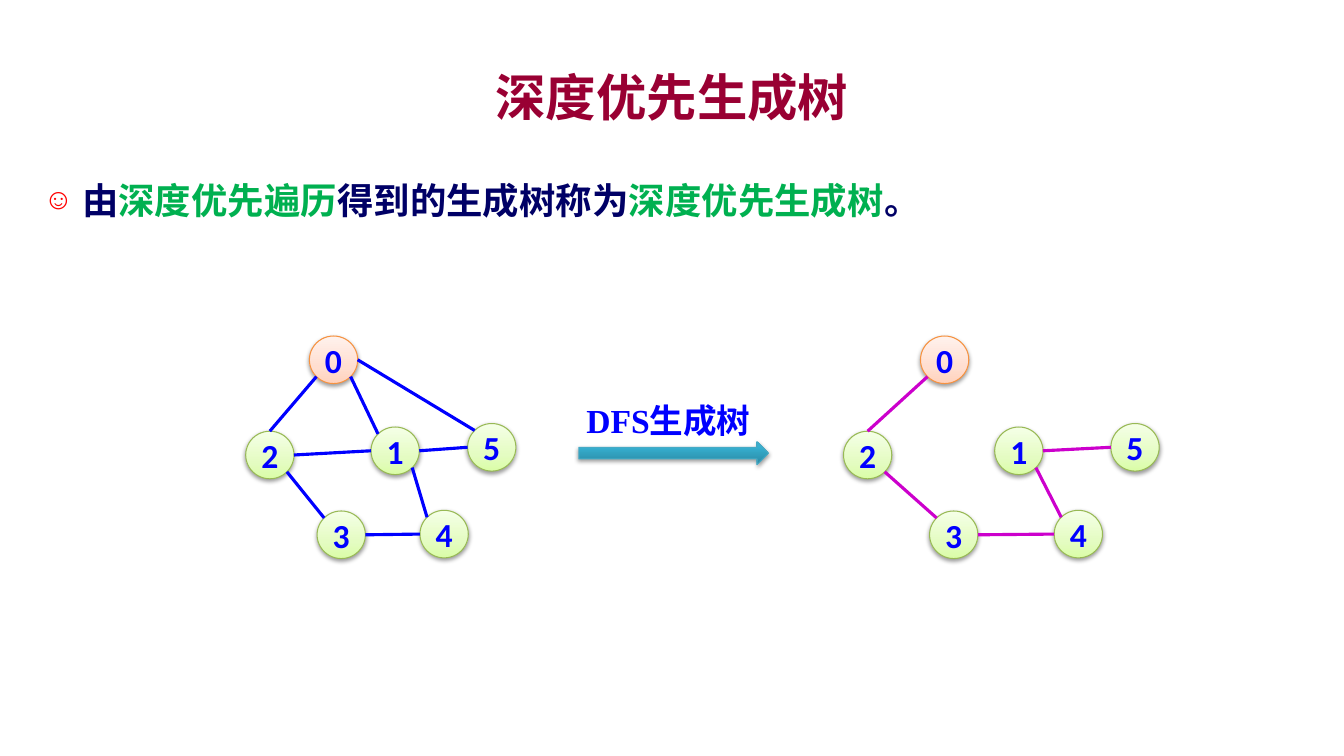
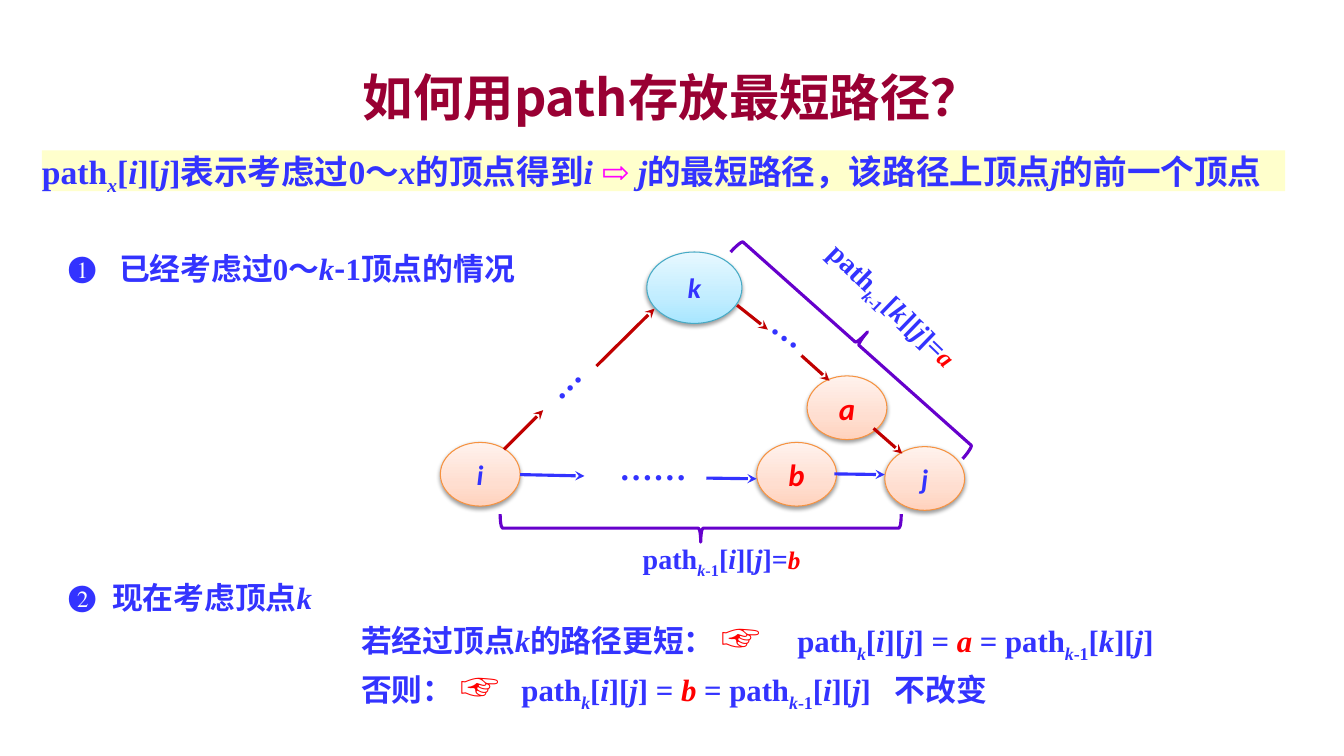
from dataclasses import dataclass
from math import cos, radians, sin

from lxml.etree import SubElement
from pptx import Presentation
from pptx.dml.color import RGBColor
from pptx.enum.shapes import MSO_CONNECTOR, MSO_SHAPE as Preset
from pptx.enum.text import MSO_ANCHOR as Anchor, PP_ALIGN as Align
from pptx.oxml.ns import qn
from pptx.util import Pt


@dataclass(frozen=True)
class Theme:
    title: str = "990033"
    navy: str = "000066"
    green: str = "00B050"
    blue: str = "0000FF"
    text: str = "3333FF"
    red: str = "FF0000"
    pink: str = "FF00FF"
    tree_edge: str = "CC00CC"
    long_way: str = "C00000"
    brace: str = "6600CC"
    band: str = "FFFFCC"
    # Gradient stops (position in percent, colour), then outline
    orange: tuple = (((0, "FFD2BD"), (35, "FFDED0"), (100, "FFF2ED")), "F69240")
    lime: tuple = (((0, "DAFDA7"), (35, "E4FCC2"), (100, "F5FFE7")), "98B955")
    sky: tuple = (((0, "A7E6FF"), (35, "C1EDFF"), (100, "E7F8FF")), "46AAC5")
    teal: tuple = (((0, "2A88A2"), (80, "37B1D2"), (100, "34B4D6")), "46AAC5")
    cjk: str = "Noto Sans CJK SC"
    serif: str = "Times New Roman"
    sans: str = "Calibri"
    title_size: float = 36
    lead_size: float = 26
    large_size: float = 24
    body_size: float = 22
    label_size: float = 20
    small_size: float = 18
    hand_size: float = 28
    stroke: float = 2.25


THEME = Theme()


@dataclass(frozen=True)
class Span:
    """A piece of text; unset values come from its text box."""
    text: str
    italic: bool = False
    sub: bool = False
    color: str = ""
    size: float = 0
    font: str = ""


def var(name, **style):
    return Span(name, italic=True, **style)


def path_term(stage, row, col):
    """Spans of path with a subscript and two indices; stage is k or k-1."""
    spans = [Span("path"), var(stage[0], sub=True)]
    if stage[1:]:
        spans.append(Span(stage[1:], sub=True))
    return spans + [Span("["), var(row), Span("]["), var(col), Span("]")]


def rgb(value):
    return RGBColor.from_string(value)


def style_run(run, size, font, color, italic=False, sub=False):
    run.font.size, run.font.name = Pt(size), font
    run.font.bold, run.font.italic = True, italic
    run.font.color.rgb = rgb(color)
    props = run.font._element
    if font != THEME.sans:
        east_asian = props.makeelement(qn("a:ea"), {"typeface": THEME.cjk})
        props.find(qn("a:latin")).addnext(east_asian)
    if sub:
        props.set("baseline", "-25000")


def write(paragraph, spans, size, color, font=THEME.serif, align=None):
    if isinstance(spans, str):
        spans = [Span(spans)]
    if align is not None:
        paragraph.alignment = align
    for span in spans:
        run = paragraph.add_run()
        run.text = span.text
        style_run(run, span.size or size, span.font or font,
                  span.color or color, span.italic, span.sub)


def add_bullet(paragraph, symbol, color, indent, percent=100):
    props = paragraph._p.get_or_add_pPr()
    props.set("marL", str(Pt(indent)))
    props.set("indent", str(-Pt(indent)))
    SubElement(SubElement(props, qn("a:buClr")), qn("a:srgbClr"), val=color)
    SubElement(props, qn("a:buSzPct"), val=str(percent * 1000))
    SubElement(props, qn("a:buFont"), typeface=THEME.serif)
    SubElement(props, qn("a:buChar"), char=symbol)


def add_tabs(paragraph, stops):
    tabs = SubElement(paragraph._p.get_or_add_pPr(), qn("a:tabLst"))
    for stop in stops:
        SubElement(tabs, qn("a:tab"), pos=str(Pt(stop)), algn="l")


def set_insets(frame, inset):
    frame.margin_left = frame.margin_right = Pt(inset)
    frame.margin_top = frame.margin_bottom = Pt(inset)


def add_text(slide, box, rotation=0):
    """Adds a wrapping text box and returns its frame."""
    holder = slide.shapes.add_textbox(*map(Pt, box))
    holder.rotation = rotation
    holder.text_frame.word_wrap = True
    return holder.text_frame


def add_label(slide, box, spans, size, rotation=0, **style):
    frame = add_text(slide, box, rotation)
    write(frame.paragraphs[0], spans, size, **style)


def add_glossy(slide, preset, box, look):
    """Adds a shape with an upward gradient, a thin outline and a soft shadow."""
    stops, outline = look
    shape = slide.shapes.add_shape(preset, *map(Pt, box))
    shape.fill.gradient()
    shape.fill.gradient_angle = 90
    stop_list = shape._element.spPr.find(".//" + qn("a:gsLst"))
    stop_list.clear()
    for position, color in stops:
        stop = SubElement(stop_list, qn("a:gs"), pos=str(position * 1000))
        SubElement(stop, qn("a:srgbClr"), val=color)
    shape.line.color.rgb, shape.line.width = rgb(outline), Pt(0.75)
    shape.shadow.inherit = False
    effects = shape._element.spPr.find(qn("a:effectLst"))
    shadow = SubElement(effects, qn("a:outerShdw"), blurRad=str(Pt(3.1)),
                        dist=str(Pt(1.6)), dir="5400000", rotWithShape="0")
    black = SubElement(shadow, qn("a:srgbClr"), val="000000")
    SubElement(black, qn("a:alpha"), val="38000")
    return shape


def add_vertex(slide, box, label, look, size, color, italic=False):
    frame = add_glossy(slide, Preset.OVAL, box, look).text_frame
    frame.word_wrap = False
    frame.vertical_anchor = Anchor.MIDDLE
    write(frame.paragraphs[0], [Span(label, italic=italic)], size, color,
          THEME.sans, Align.CENTER)


def add_edge(slide, start, end, color, arrow=False):
    edge = slide.shapes.add_connector(MSO_CONNECTOR.STRAIGHT,
                                      *map(Pt, (*start, *end)))
    edge.line.color.rgb, edge.line.width = rgb(color), Pt(THEME.stroke)
    if arrow:
        SubElement(edge.line._get_or_add_ln(), qn("a:tailEnd"), type="stealth")
    SubElement(edge._element.spPr, qn("a:effectLst"))


def add_brace(slide, box, rotation):
    brace = slide.shapes.add_shape(Preset.RIGHT_BRACE, *map(Pt, box))
    brace.rotation = rotation
    brace.fill.background()
    brace.line.color.rgb, brace.line.width = rgb(THEME.brace), Pt(THEME.stroke)
    brace.shadow.inherit = False


def add_titled_slide(deck, heading):
    slide = deck.slides.add_slide(deck.slide_layouts[5])
    title = slide.shapes.title
    title.left, title.top, title.width, title.height = map(Pt, (72, 42, 816, 54))
    frame = title.text_frame
    frame.text = heading
    frame.vertical_anchor = Anchor.MIDDLE
    frame.paragraphs[0].alignment = Align.CENTER
    style_run(frame.paragraphs[0].runs[0], THEME.title_size, THEME.cjk, THEME.title)
    return slide


VERTEX_SIZE = (34.5, 34)
VERTEX_TOPS = (240, 305, 308, 365, 364.5, 302.5)
# Clockwise angles from the right-hand side of a vertex
RIGHT, LOWER_RIGHT, LOWER_LEFT, LEFT, UPPER_LEFT, TOP = 0, 45, 135, 180, 225, 270
TREE_EDGES = ((0, LOWER_LEFT, 2, TOP), (2, LOWER_RIGHT, 3, UPPER_LEFT),
              (1, RIGHT, 5, LEFT), (1, LOWER_RIGHT, 4, UPPER_LEFT),
              (3, RIGHT, 4, LEFT))
OTHER_EDGES = ((0, LOWER_RIGHT, 1, UPPER_LEFT), (2, RIGHT, 1, LEFT),
               (0, RIGHT, 5, UPPER_LEFT))


def add_graph(slide, lefts, edges, edge_color):
    width, height = VERTEX_SIZE

    def rim(vertex, angle):
        return (lefts[vertex] + width / 2 * (1 + cos(radians(angle))),
                VERTEX_TOPS[vertex] + height / 2 * (1 + sin(radians(angle))))

    for number, corner in enumerate(zip(lefts, VERTEX_TOPS)):
        add_vertex(slide, (*corner, width, height), str(number),
                   THEME.lime if number else THEME.orange,
                   THEME.large_size, THEME.blue)
    for start, leaving, end, arriving in edges:
        add_edge(slide, rim(start, leaving), rim(end, arriving), edge_color)


def build_spanning_tree(deck):
    slide = add_titled_slide(deck, "深度优先生成树")
    definition = add_text(slide, (24, 108, 912, 72)).paragraphs[0]
    add_bullet(definition, "☺", THEME.red, 27.5, 80)
    definition.line_spacing = 1.5
    write(definition, [Span("由"), Span("深度优先遍历", color=THEME.green),
                       Span("得到的生成树称为"),
                       Span("深度优先生成树", color=THEME.green), Span("。")],
          THEME.lead_size, THEME.navy, THEME.cjk)
    add_graph(slide, (221, 265, 175.5, 226.5, 300, 334),
              TREE_EDGES + OTHER_EDGES, THEME.blue)
    add_graph(slide, (657.5, 710.5, 602.5, 664, 753, 793.5),
              TREE_EDGES, THEME.tree_edge)
    add_glossy(slide, Preset.RIGHT_ARROW, (413.5, 315.5, 135.5, 16.5), THEME.teal)
    add_label(slide, (399.5, 282, 156, 65.5), "DFS生成树", THEME.large_size,
              color=THEME.blue, align=Align.CENTER)


def add_path_diagram(slide):
    add_vertex(slide, (462, 180, 68, 51), "k", THEME.sky,
               THEME.label_size, THEME.text, True)
    for name, left, top, size, color in (
            ("i", 314.5, 316, THEME.label_size, THEME.text),
            ("j", 632, 319, THEME.label_size, THEME.text),
            ("a", 576.5, 268.5, THEME.body_size, THEME.red),
            ("b", 540.5, 316, THEME.body_size, THEME.red)):
        add_vertex(slide, (left, top, 57, 45.5), name, THEME.orange, size, color, True)
    via_k = (((360, 321), (388, 293)), ((426, 261.5), (467.5, 220.5)),
             ((526.5, 218), (548.5, 235.5)), ((572.5, 254), (592.5, 272)),
             ((624, 306), (644.5, 324)))
    direct = (((371.5, 339), (417.5, 340)), ((504.5, 341.5), (540.5, 342)),
              ((596, 338.5), (632, 339)))
    for arrows, color in ((via_k, THEME.long_way), (direct, THEME.text)):
        for start, end in arrows:
            add_edge(slide, start, end, color, arrow=True)
    for box, dots, rotation, font in (
            ((382.5, 260, 51, 36), "…", 135, THEME.cjk),
            ((535, 224, 51, 36), "…", 35.8, THEME.cjk),
            ((415.5, 316, 102, 36), "……", 0, THEME.serif)):
        add_label(slide, box, dots, THEME.large_size, rotation,
                  color=THEME.text, font=font, align=Align.CENTER)
    for brace, turn, label, tilt, row, last in (
            ((490.5, 234, 20, 286.5), 90, (452, 383, 140.5, 36), 0, "i", "b"),
            ((601, 134.5, 22.5, 222), 311.7, (567.5, 209, 153.5, 36), 44, "k", "a")):
        add_brace(slide, brace, turn)
        result = var(last, color=THEME.red, size=THEME.small_size)
        add_label(slide, label, path_term("k-1", row, "j") + [Span("="), result],
                  THEME.label_size, tilt, color=THEME.text)


def add_update_rules(slide):
    frame = add_text(slide, (258, 439, 590, 70.5))
    set_insets(frame, 0)
    hand = Span("☞", color=THEME.red, size=THEME.hand_size)
    rules = (
        ([Span("若经过顶点"), var("k"), Span("的路径更短： ")], "a", "k", [], (311.5,)),
        ([Span("否则： ")], "b", "i", [Span("\t不改变")], (114.5, 381)))
    for index, (condition, last, row, ending, stops) in enumerate(rules):
        rule = frame.add_paragraph() if index else frame.paragraphs[0]
        add_tabs(rule, stops)
        rule.line_spacing = Pt(35)
        write(rule, [*condition, hand, Span("\t"), *path_term("k", "i", "j"),
                     Span(" = "), var(last + " ", color=THEME.red), Span("= "),
                     *path_term("k-1", row, "j"), *ending],
              THEME.body_size, THEME.text)


def build_path_storage(deck):
    slide = add_titled_slide(deck, "如何用path存放最短路径？")
    band = slide.shapes.add_shape(Preset.RECTANGLE, *map(Pt, (30, 107.5, 888, 29)))
    band.fill.solid()
    band.fill.fore_color.rgb = rgb(THEME.band)
    band.line.fill.background()
    band.shadow.inherit = False
    frame = band.text_frame
    frame.word_wrap, frame.vertical_anchor = True, Anchor.TOP
    set_insets(frame, 0)
    write(frame.paragraphs[0],
          [*path_term("x", "i", "j"), Span("表示考虑过0～"), var("x"),
           Span("的顶点得到"), var("i "), Span("⇨ ", color=THEME.pink), var("j"),
           Span("的最短路径，该路径上顶点"), var("j"), Span("的前一个顶点")],
          THEME.large_size, THEME.text, align=Align.LEFT)
    add_path_diagram(slide)
    for number, top, width, indent, spans in (
            ("❶", 175, 356.5, 36, [Span("已经考虑过0～"), var("k"),
                                   Span("-", font=THEME.cjk), Span("1顶点的情况")]),
            ("❷", 409.5, 230.5, 31, [Span("现在考虑顶点"), var("k")])):
        step = add_text(slide, (42, top, width, 34)).paragraphs[0]
        add_bullet(step, number, THEME.text, indent)
        write(step, spans, THEME.body_size, THEME.text)
    add_update_rules(slide)


def main():
    deck = Presentation()
    deck.slide_width, deck.slide_height = Pt(960), Pt(540)
    build_spanning_tree(deck)
    build_path_storage(deck)
    deck.save("out.pptx")


if __name__ == "__main__":
    main()
